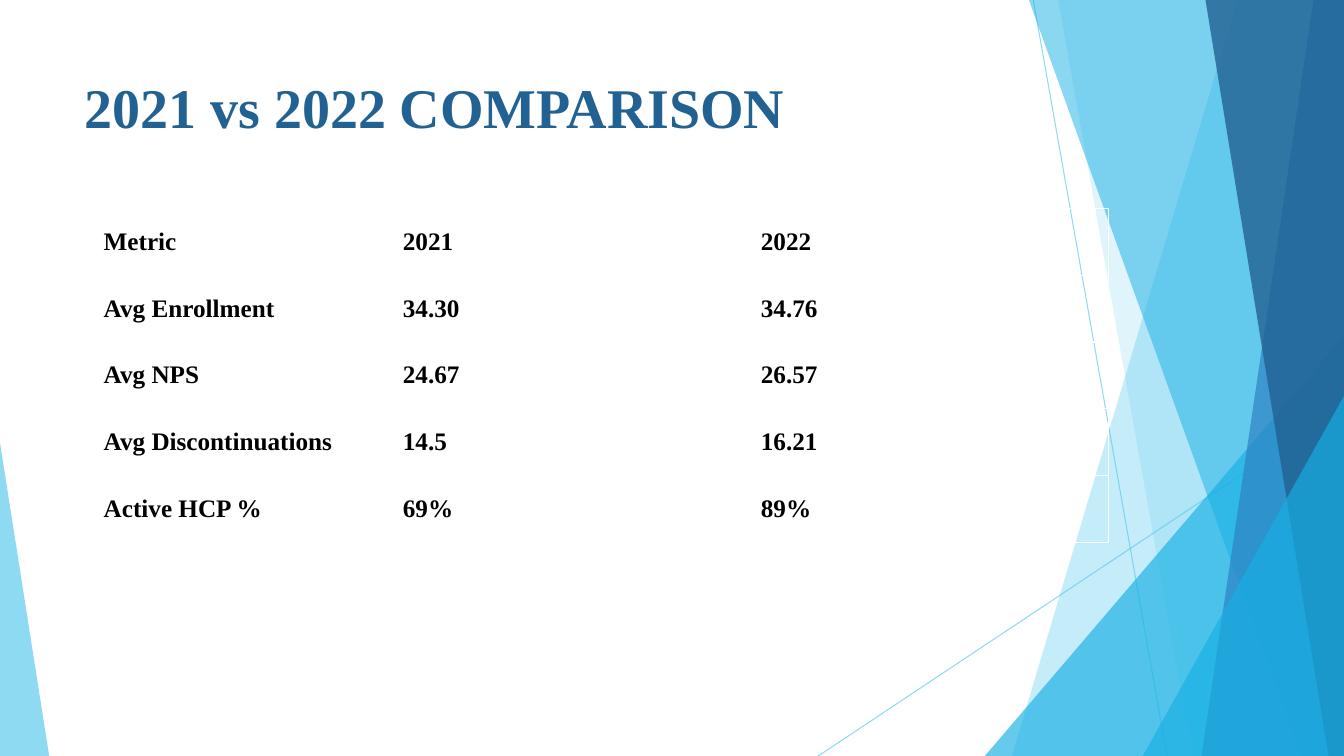
from pptx import Presentation
from pptx.dml.color import RGBColor
from pptx.enum.shapes import MSO_CONNECTOR as LINK, MSO_SHAPE as SHAPE
from pptx.enum.text import MSO_ANCHOR as ANCHOR
from pptx.oxml.ns import qn
from pptx.util import Cm, Pt
from lxml.etree import SubElement

SKY = RGBColor(0x5F, 0xCB, 0xEF)
CYAN = RGBColor(0x17, 0xB0, 0xE4)
BLUE = RGBColor(0x2E, 0x83, 0xC3)
NAVY = RGBColor(0x22, 0x62, 0x92)
BLACK = RGBColor(0, 0, 0)
FONT = "Times New Roman"
WIDE, HIGH = 33.87, 19.05

deck = Presentation()
deck.slide_width, deck.slide_height = Cm(WIDE), Cm(HIGH)
slide = deck.slides.add_slide(deck.slide_layouts[6])
shapes = slide.shapes


def tint(fill, color, alpha):
    fill.solid()
    fill.fore_color.rgb = color
    node = fill._xPr.find(qn("a:solidFill"))[0]
    SubElement(node, qn("a:alpha")).set("val", str(alpha * 1000))


def write(frame, text, size, color):
    run = frame.paragraphs[0].add_run()
    run.text = text
    run.font.name, run.font.size, run.font.bold = FONT, Pt(size), True
    run.font.color.rgb = color


# Thin crossing lines
for x1, y1, x2 in [(26.04, 0, 29.41), (WIDE, 10.24, 20.62)]:
    line = shapes.add_connector(LINK.STRAIGHT, Cm(x1), Cm(y1), Cm(x2), Cm(HIGH))
    line.line.width = Pt(0.75)
    tint(line.line.fill, SKY, 70)
    SubElement(line._element.spPr, qn("a:effectLst"))

# Facets: panels have top and bottom x, wedges have left, width and top
facets = [
    ("panel", (31.19, 25.5), SKY, 36),
    ("panel", (26.67, 30.05), SKY, 20),
    ("wedge", (24.82, 9.05, 8.46, 1), CYAN, 66),
    ("panel", (25.93, 32.79), CYAN, 50),
    ("panel", (33.1, 30.28), BLUE, 70),
    ("panel", (30.38, 33.48), NAVY, 80),
    ("wedge", (28.8, 5.07, 9.98, 1), CYAN, 66),
    ("wedge", (0, 1.24, 11.15, 0), SKY, 70),
]
for kind, place, color, alpha in facets:
    if kind == "panel":
        top, base = place
        path = shapes.build_freeform(Cm(top), 0, scale=1.0)
        path.add_line_segments(
            [(Cm(WIDE), 0), (Cm(WIDE), Cm(HIGH)), (Cm(base), Cm(HIGH))], close=True)
        facet = path.convert_to_shape()
    else:
        left, width, top, apex = place
        facet = shapes.add_shape(
            SHAPE.ISOSCELES_TRIANGLE, Cm(left), Cm(top), Cm(width), Cm(HIGH - top))
        facet.adjustments[0] = apex
    facet.shadow.inherit = False
    facet.line.fill.background()
    tint(facet.fill, color, alpha)

# Title
title = shapes.add_textbox(Cm(1.88), Cm(1.7), Cm(23.88), Cm(3.66)).text_frame
title.word_wrap = True
write(title, "2021 vs 2022 COMPARISON", 40, NAVY)

# Metrics table
rows = [
    ("Metric", "2021", "2022"),
    ("Avg Enrollment", "34.30", "34.76"),
    ("Avg NPS", "24.67", "26.57"),
    ("Avg Discontinuations", "14.5", "16.21"),
    ("Active HCP %", "69%", "89%"),
]
widths = [7.54, 9.02, 9.02]
table = shapes.add_table(
    len(rows), len(widths), Cm(2.36), Cm(5.26), Cm(sum(widths)), Cm(8.4)).table
table.first_row = table.horz_banding = False
for col, width in zip(table.columns, widths):
    col.width = Cm(width)
for r, row in enumerate(rows):
    for c, text in enumerate(row):
        cell = table.cell(r, c)
        cell.fill.background()
        cell.vertical_anchor = ANCHOR.MIDDLE
        write(cell.text_frame, text, 18, BLACK)

deck.save("out.pptx")
